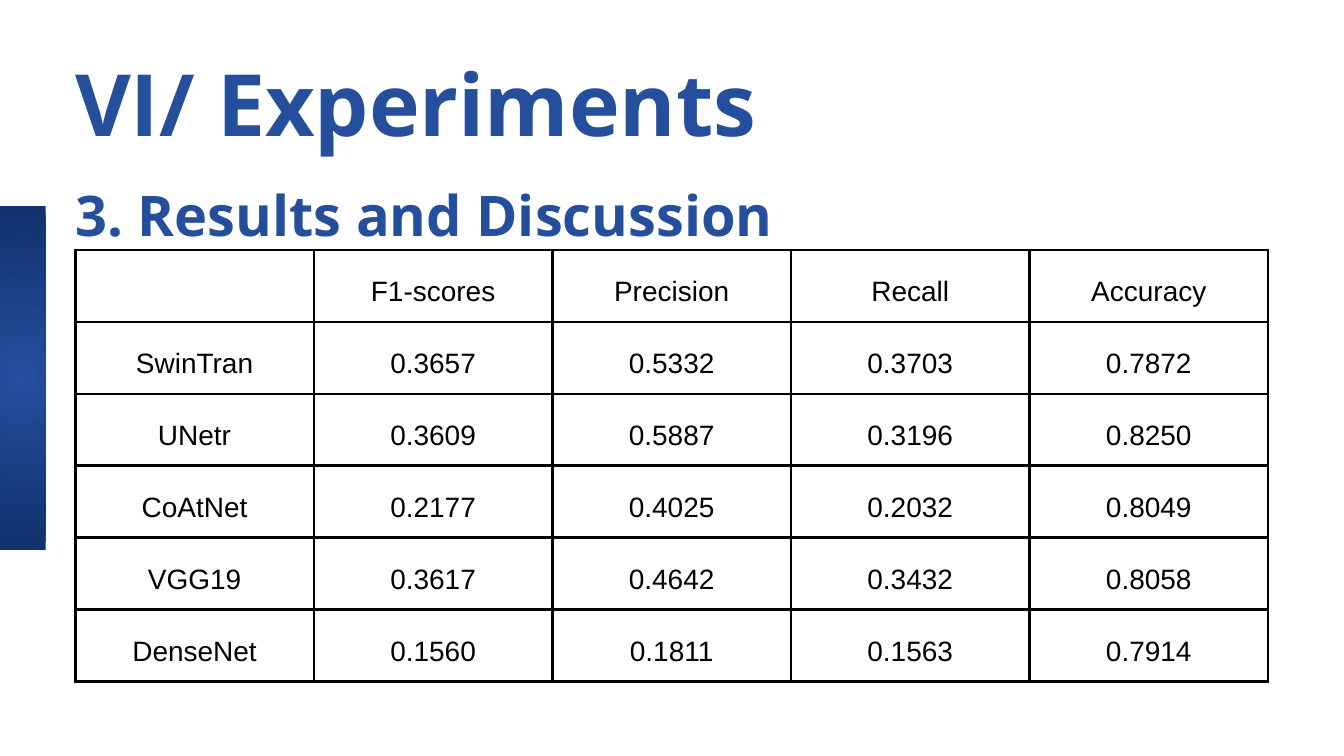
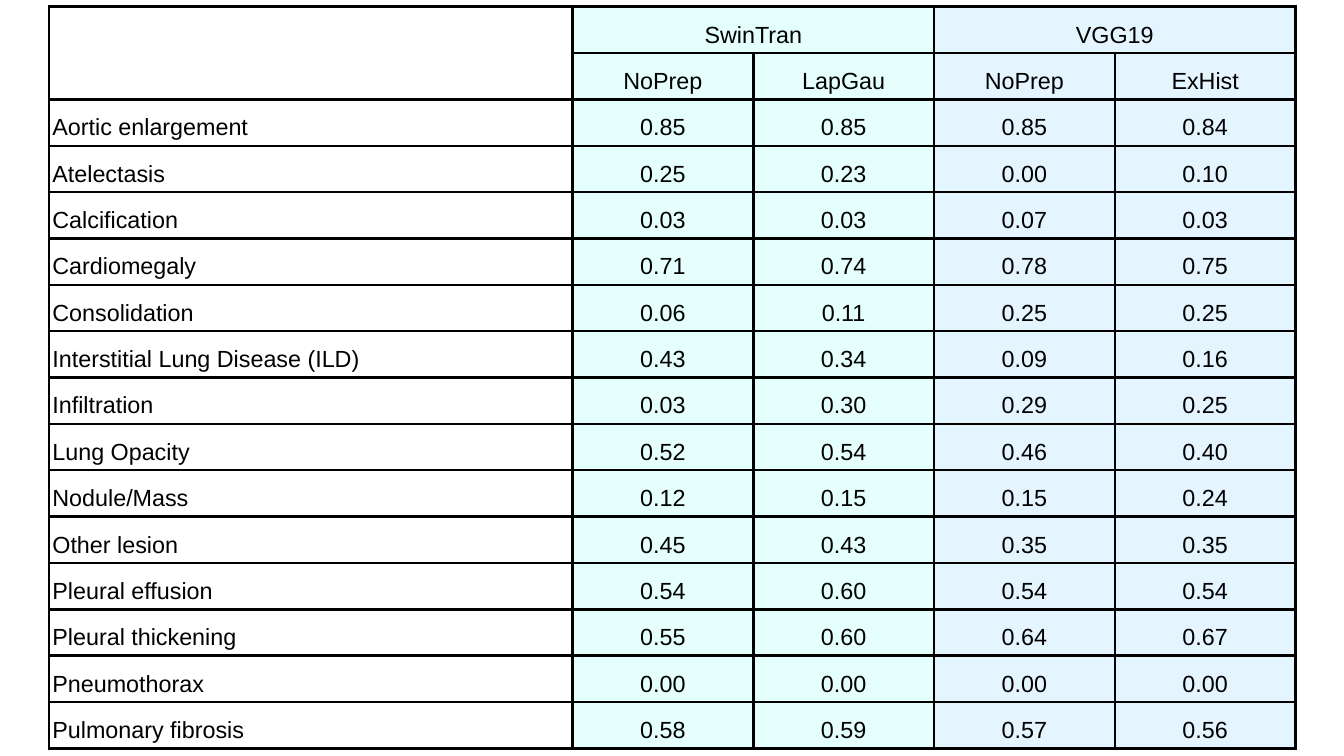
"""Build two slides of experiment results: model scores and per-disease scores."""
from lxml.etree import SubElement
from pptx import Presentation
from pptx.dml.color import RGBColor
from pptx.enum.shapes import MSO_SHAPE
from pptx.enum.text import MSO_ANCHOR, MSO_AUTO_SIZE, PP_ALIGN
from pptx.oxml.ns import qn
from pptx.util import Inches, Pt

BLUE = RGBColor(0x25, 0x4E, 0x9D)
NAVY = RGBColor(0x12, 0x31, 0x6D)
BLACK = RGBColor(0, 0, 0)
MINT = RGBColor(0xE5, 0xFF, 0xFC)
SKY = RGBColor(0xE5, 0xF5, 0xFF)
TITLE_FONT, TABLE_FONT = "Open Sans", "Arial"
LINE_SPACING = 1.4
BORDER_WIDTH = Pt(3)

HEADINGS = [("VI/ Experiments", 92), ("3. Results and Discussion", 60)]

MODEL_SCORES = [
    ("", "F1-scores", "Precision", "Recall", "Accuracy"),
    ("SwinTran", "0.3657", "0.5332", "0.3703", "0.7872"),
    ("UNetr", "0.3609", "0.5887", "0.3196", "0.8250"),
    ("CoAtNet", "0.2177", "0.4025", "0.2032", "0.8049"),
    ("VGG19", "0.3617", "0.4642", "0.3432", "0.8058"),
    ("DenseNet", "0.1560", "0.1811", "0.1563", "0.7914"),
]

DISEASE_SCORES = [
    ("", "SwinTran", "", "VGG19", ""),
    ("", "NoPrep", "LapGau", "NoPrep", "ExHist"),
    ("Aortic enlargement", "0.85", "0.85", "0.85", "0.84"),
    ("Atelectasis", "0.25", "0.23", "0.00", "0.10"),
    ("Calcification", "0.03", "0.03", "0.07", "0.03"),
    ("Cardiomegaly", "0.71", "0.74", "0.78", "0.75"),
    ("Consolidation", "0.06", "0.11", "0.25", "0.25"),
    ("Interstitial Lung Disease (ILD)", "0.43", "0.34", "0.09", "0.16"),
    ("Infiltration", "0.03", "0.30", "0.29", "0.25"),
    ("Lung Opacity", "0.52", "0.54", "0.46", "0.40"),
    ("Nodule/Mass", "0.12", "0.15", "0.15", "0.24"),
    ("Other lesion", "0.45", "0.43", "0.35", "0.35"),
    ("Pleural effusion", "0.54", "0.60", "0.54", "0.54"),
    ("Pleural thickening", "0.55", "0.60", "0.64", "0.67"),
    ("Pneumothorax", "0.00", "0.00", "0.00", "0.00"),
    ("Pulmonary fibrosis", "0.58", "0.59", "0.57", "0.56"),
]


def write(paragraph, text, size, font, color, bold=False, align=PP_ALIGN.LEFT):
    paragraph.line_spacing = LINE_SPACING
    paragraph.alignment = align
    span = paragraph.add_run()
    span.text = text
    span.font.size = Pt(size)
    span.font.name = font
    span.font.bold = bold
    span.font.color.rgb = color


def add_band(page, left, top, width, height):
    band = page.shapes.add_shape(
        MSO_SHAPE.RECTANGLE, Inches(left), Inches(top), Inches(width), Inches(height))
    band.shadow.inherit = False
    band.line.fill.background()
    return band


def fill_radial(shape, center_color, edge_color):
    shape.fill.gradient()
    for stop, color in zip(shape.fill.gradient_stops, (center_color, edge_color)):
        stop.color.rgb = color
    gradient = shape._element.spPr.find(qn("a:gradFill"))
    gradient.remove(gradient.find(qn("a:lin")))
    circle = SubElement(gradient, qn("a:path"), path="circle")
    SubElement(circle, qn("a:fillToRect"), l="50000", t="50000", r="50000", b="50000")


def add_borders(cell):
    properties = cell._tc.get_or_add_tcPr()
    for side in ("a:lnL", "a:lnR", "a:lnT", "a:lnB"):
        line = SubElement(properties, qn(side), w=str(BORDER_WIDTH))
        SubElement(SubElement(line, qn("a:solidFill")), qn("a:srgbClr"), val=str(BLACK))


def add_scores(page, rows, left, top, widths, row_height, size, inset, label_align):
    table = page.shapes.add_table(
        len(rows), len(widths), Inches(left), Inches(top),
        Inches(sum(widths)), Inches(row_height * len(rows))).table
    table.first_row = table.horz_banding = False
    for column, width in zip(table.columns, widths):
        column.width = Inches(width)
    for row_index, texts in enumerate(rows):
        table.rows[row_index].height = Inches(row_height)
        for column_index, text in enumerate(texts):
            cell = table.cell(row_index, column_index)
            add_borders(cell)
            cell.fill.background()
            cell.vertical_anchor = MSO_ANCHOR.MIDDLE
            cell.margin_left = cell.margin_right = Inches(inset)
            cell.margin_top = cell.margin_bottom = Inches(inset)
            if text:
                align = PP_ALIGN.CENTER if column_index else label_align
                write(cell.text_frame.paragraphs[0], text, size, TABLE_FONT, BLACK, align=align)
    return table


def add_headings(page):
    box = page.shapes.add_textbox(Inches(1.12), Inches(0.14), Inches(18.03), Inches(2.92))
    frame = box.text_frame
    frame.word_wrap = True
    frame.auto_size = MSO_AUTO_SIZE.SHAPE_TO_FIT_TEXT
    frame.margin_left = frame.margin_right = frame.margin_top = frame.margin_bottom = 0
    for index, (text, size) in enumerate(HEADINGS):
        paragraph = frame.add_paragraph() if index else frame.paragraphs[0]
        write(paragraph, text, size, TITLE_FONT, BLUE, bold=True)


def build_model_page(page):
    fill_radial(add_band(page, 0, 3.06, 0.68, 5.12), BLUE, NAVY)
    add_scores(page, MODEL_SCORES, 1.12, 3.72, [3.55] * 5, 1.07, 30, 0.15, PP_ALIGN.CENTER)
    add_headings(page)


def build_disease_page(page):
    left, top, label_width, score_width, row_height = 0.73, 0.1, 7.79, 2.69, 0.69
    for index, color in enumerate((MINT, SKY)):
        band = add_band(page, left + label_width + index * 2 * score_width, top,
                        2 * score_width, row_height * len(DISEASE_SCORES))
        band.fill.solid()
        band.fill.fore_color.rgb = color
    table = add_scores(page, DISEASE_SCORES, left, top, [label_width] + [score_width] * 4,
                       row_height, 25, 0.05, PP_ALIGN.LEFT)
    table.cell(0, 0).merge(table.cell(1, 0))
    for first in (1, 3):
        table.cell(0, first).merge(table.cell(0, first + 1))


def main():
    deck = Presentation()
    deck.slide_width, deck.slide_height = Inches(20), Inches(11.25)
    for build in (build_model_page, build_disease_page):
        build(deck.slides.add_slide(deck.slide_layouts[6]))
    deck.save("out.pptx")


if __name__ == "__main__":
    main()
